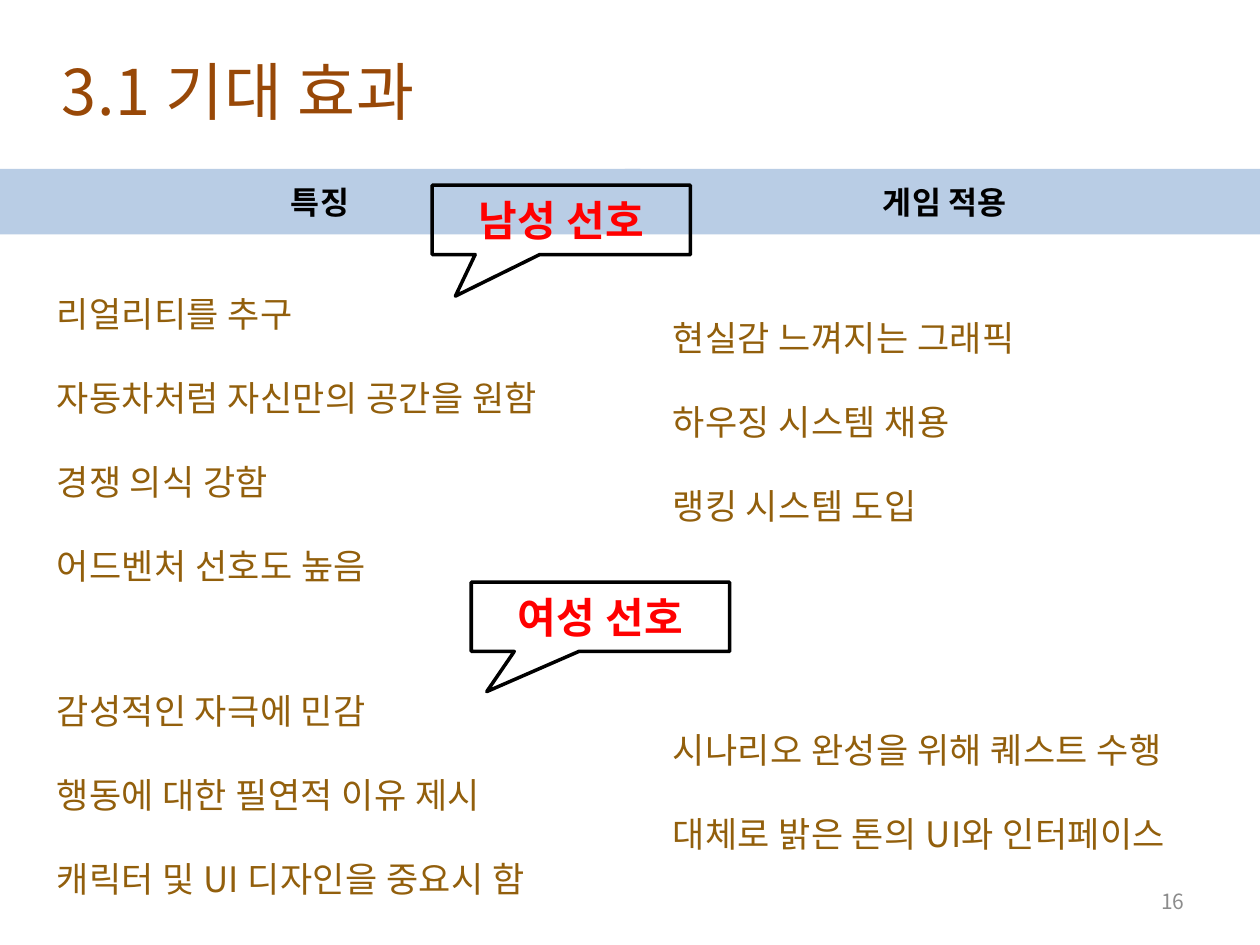
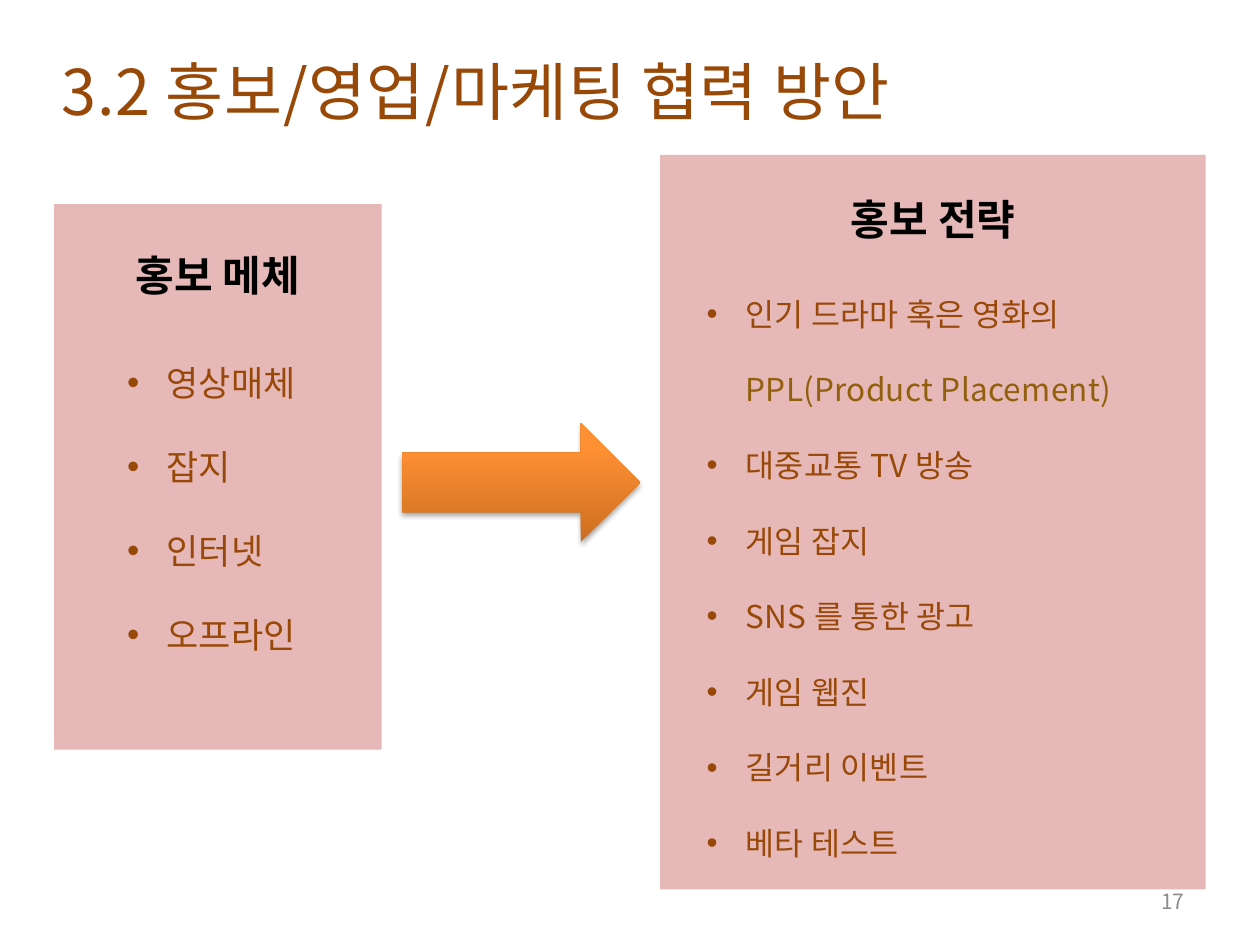
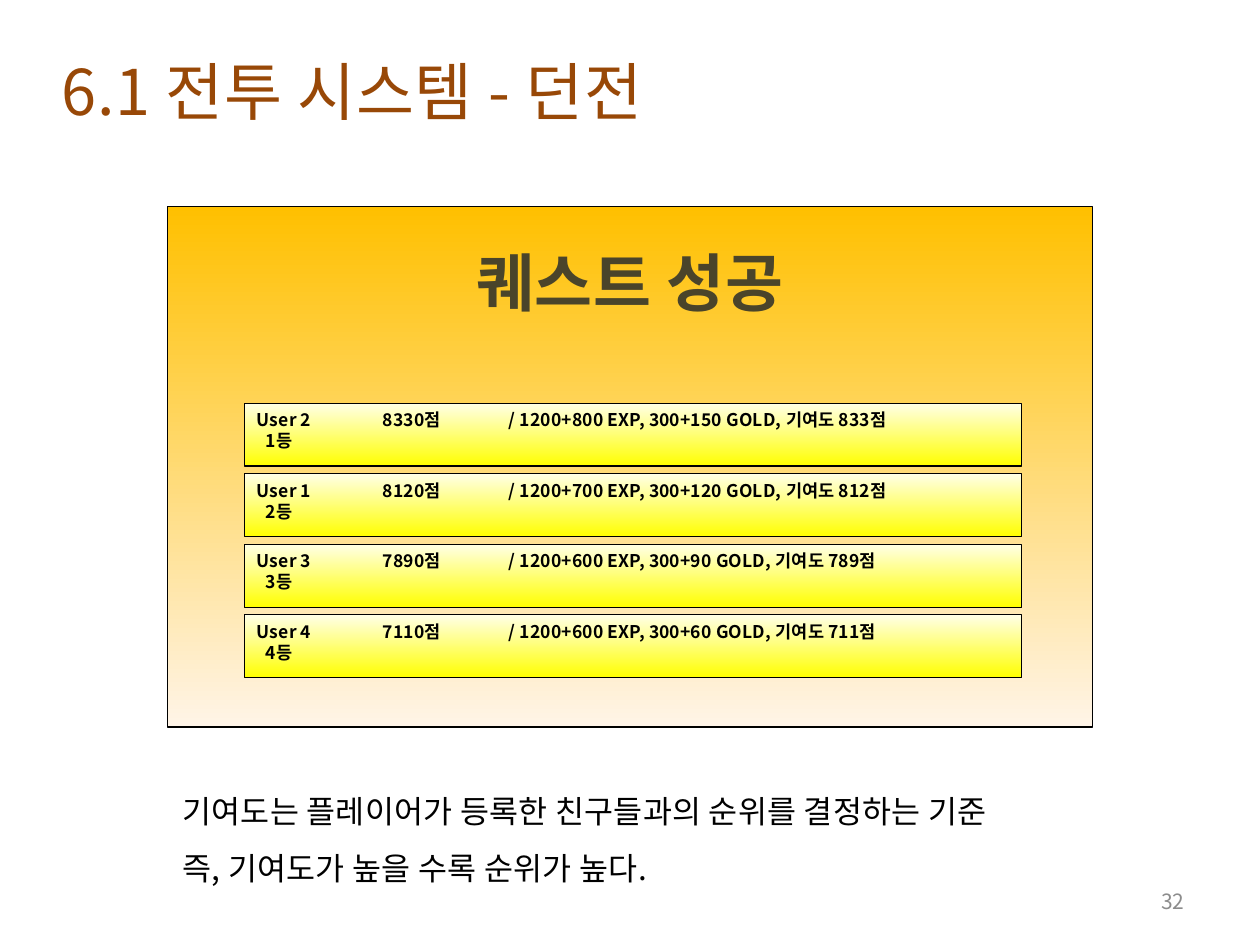
"""Build three slides of a game proposal: expected effects, promotion and dungeon results."""
from lxml.etree import SubElement
from pptx import Presentation
from pptx.dml.color import RGBColor
from pptx.enum.shapes import MSO_SHAPE
from pptx.enum.text import MSO_ANCHOR, MSO_AUTO_SIZE, PP_ALIGN
from pptx.oxml.ns import qn
from pptx.util import Inches, Pt

FONT = "Noto Sans CJK KR"
LINE_HEIGHT = 1.2
TRACKING = 0.01
COLORS = {
    "title": "984807", "body": "925F0C", "black": "000000", "number": "8C8C8C",
    "band": "B9CDE5", "callout": "FF0000", "panel": "E6B9B8", "success": "4A442A",
    "arrow_dark": "CC6E20", "arrow_light": "FF9034", "gold": "FFC000",
    "cream": "FFF4E7", "pale": "FFFFE7", "yellow": "FFFF00",
}

EFFECTS = {"title": "3.1 기대 효과", "width": 3.31, "number": 16}
BANDS = [("특징", 0), ("게임 적용", 4.96)]
PREFERENCES = [
    ((0.35, 1.94, 4.49, 2.79),
     ["리얼리티를 추구", "자동차처럼 자신만의 공간을 원함", "경쟁 의식 강함", "어드벤처 선호도 높음"]),
    ((0.35, 5.09, 6.14, 2.12),
     ["감성적인 자극에 민감", "행동에 대한 필연적 이유 제시", "캐릭터 및 UI 디자인을 중요시 함"]),
    ((5.24, 2.13, 4.76, 2.12),
     ["현실감 느껴지는 그래픽", "하우징 시스템 채용", "랭킹 시스템 도입"]),
    ((5.24, 5.4, 4.76, 1.45),
     ["시나리오 완성을 위해 퀘스트 수행", "대체로 밝은 톤의 UI와 인터페이스"]),
]
CALLOUTS = [("남성 선호", 3.43, 1.47, (-0.41, 1.1)), ("여성 선호", 3.74, 4.62, (-0.44, 1.08))]

PROMOTION = {"title": "3.2 홍보/영업/마케팅 협력 방안", "width": 7.39, "number": 17}
PANELS = [
    {"heading": "홍보 전략", "box": (5.24, 1.23, 4.33, 5.83), "inset": 0.31,
     "list_box": (5.51, 1.99, 4.49, 5.51), "size": 18,
     "items": [[("인기 드라마 혹은 영화의 ", "title"), ("PPL(Product Placement)", "body")],
               "대중교통 TV 방송", "게임 잡지", "SNS 를 통한 광고", "게임 웹진",
               "길거리 이벤트", "베타 테스트"]},
    {"heading": "홍보 메체", "box": (0.43, 1.62, 2.6, 4.33), "inset": 0.36,
     "list_box": (0.91, 2.49, 3.15, 2.79), "size": 20,
     "items": ["영상매체", "잡지", "인터넷", "오프라인"]},
]

DUNGEON = {"title": "6.1 전투 시스템 - 던전", "width": 5.48, "number": 32}
RESULTS = [
    ("User 2", "8330점", "/ 1200+800 EXP, 300+150 GOLD, 기여도 833점", "1등"),
    ("User 1", "8120점", "/ 1200+700 EXP, 300+120 GOLD, 기여도 812점", "2등"),
    ("User 3", "7890점", "/ 1200+600 EXP, 300+90 GOLD, 기여도 789점", "3등"),
    ("User 4", "7110점", "/ 1200+600 EXP, 300+60 GOLD, 기여도 711점", "4등"),
]
RESULT_TABS = (1, 2)
NOTES = ["기여도는 플레이어가 등록한 친구들과의 순위를 결정하는 기준",
         "즉, 기여도가 높을 수록 순위가 높다."]


def rgb(name):
    return RGBColor.from_string(COLORS[name])


def write(sp, lines, size, color="black", bold=False, align=PP_ALIGN.LEFT,
          anchor=MSO_ANCHOR.TOP, spacing=1, bullet=False, wrap=True, inset=0.05, tabs=()):
    tf = sp.text_frame
    tf.word_wrap = wrap
    tf.auto_size = MSO_AUTO_SIZE.NONE
    tf.vertical_anchor = anchor
    tf.margin_top = Inches(inset)
    for i, line in enumerate(lines):
        p = tf.add_paragraph() if i else tf.paragraphs[0]
        p.alignment = align
        p.line_spacing = Pt(size * LINE_HEIGHT * spacing)
        pPr = p._p.get_or_add_pPr()
        if bullet:
            pPr.set("marL", str(Inches(0.31)))
            pPr.set("indent", str(-Inches(0.31)))
            SubElement(pPr, qn("a:buFont"), typeface="Arial")
            SubElement(pPr, qn("a:buChar"), char="•")
        if tabs:
            tab_list = SubElement(pPr, qn("a:tabLst"))
            for tab in tabs:
                SubElement(tab_list, qn("a:tab"), pos=str(Inches(tab)), algn="l")
        for text, run_color in [(line, color)] if isinstance(line, str) else line:
            r = p.add_run()
            r.text = text
            r.font.name = FONT
            r.font.size = Pt(size)
            r.font.bold = bold
            r.font.color.rgb = rgb(run_color)
            rPr = r._r.get_or_add_rPr()
            rPr.set("spc", str(round(size * TRACKING * 100)))
            SubElement(rPr, qn("a:ea"), typeface=FONT)


def add_text(s, box, lines, size, **fmt):
    write(s.shapes.add_textbox(*map(Inches, box)), lines, size, **fmt)


def add_box(s, kind, box, fill=None, line=None, angle=270, last_stop=1):
    sp = s.shapes.add_shape(kind, *map(Inches, box))
    sp.shadow.inherit = False
    if fill is None:
        sp.fill.background()
    elif isinstance(fill, str):
        sp.fill.solid()
        sp.fill.fore_color.rgb = rgb(fill)
    else:
        sp.fill.gradient()
        sp.fill.gradient_angle = angle
        for stop, name, position in zip(sp.fill.gradient_stops, fill, (0, last_stop)):
            stop.color.rgb = rgb(name)
            stop.position = position
    if line:
        sp.line.color.rgb = rgb("black")
        sp.line.width = Pt(line)
    else:
        sp.line.fill.background()
    return sp


def add_shadow(sp):
    effects = sp._element.spPr.find(qn("a:effectLst"))
    shadow = SubElement(effects, qn("a:outerShdw"), blurRad=str(Pt(3.1)), dist=str(Pt(1.8)),
                        dir="5400000", rotWithShape="0")
    color = SubElement(shadow, qn("a:srgbClr"), val=COLORS["black"])
    SubElement(color, qn("a:alpha"), val="35000")


def add_slide(prs, info):
    s = prs.slides.add_slide(prs.slide_layouts[5])
    title = s.shapes.title
    title.left, title.top, title.width, title.height = map(
        Inches, (0.39, 0.36, info["width"], 0.71))
    write(title, [info["title"]], 36, color="title", wrap=False, inset=0.06)
    return s


def add_number(s, info):
    add_text(s, (7.17, 6.95, 2.33, 0.4), [str(info["number"])], 12, color="number",
             align=PP_ALIGN.RIGHT, anchor=MSO_ANCHOR.MIDDLE)


def build_effects(prs):
    s = add_slide(prs, EFFECTS)
    centred = {"bold": True, "align": PP_ALIGN.CENTER, "anchor": MSO_ANCHOR.MIDDLE}
    for heading, left in BANDS:
        band = add_box(s, MSO_SHAPE.RECTANGLE, (left, 1.34, 5.08, 0.52), "band")
        write(band, [heading], 18, **centred)
    for box, lines in PREFERENCES:
        add_text(s, box, lines, 20, color="body", spacing=2)
    for label, left, top, tip in CALLOUTS:
        callout = add_box(s, MSO_SHAPE.RECTANGULAR_CALLOUT, (left, top, 2.05, 0.55), line=2)
        callout.adjustments[0], callout.adjustments[1] = tip
        write(callout, [label], 24, color="callout", **centred)
    add_number(s, EFFECTS)


def build_promotion(prs):
    s = add_slide(prs, PROMOTION)
    for panel in PANELS:
        sp = add_box(s, MSO_SHAPE.RECTANGLE, panel["box"], "panel")
        write(sp, [panel["heading"]], 24, bold=True, align=PP_ALIGN.CENTER,
              inset=panel["inset"])
        add_text(s, panel["list_box"], panel["items"], panel["size"], color="title",
                 spacing=2, bullet=True)
    arrow = add_box(s, MSO_SHAPE.RIGHT_ARROW, (3.19, 3.36, 1.89, 0.94),
                    ("arrow_dark", "arrow_light"), angle=90, last_stop=0.8)
    add_shadow(arrow)
    add_number(s, PROMOTION)


def build_dungeon(prs):
    s = add_slide(prs, DUNGEON)
    board = add_box(s, MSO_SHAPE.RECTANGLE, (1.33, 1.64, 7.34, 4.13), ("gold", "cream"), 0.75)
    write(board, ["퀘스트 성공"], 36, color="success", bold=True, align=PP_ALIGN.CENTER,
          inset=0.29)
    for i, (*cells, rank) in enumerate(RESULTS):
        row = add_box(s, MSO_SHAPE.RECTANGLE, (1.94, 3.2 + 0.56 * i, 6.17, 0.5),
                      ("pale", "yellow"), 0.75)
        write(row, ["\t".join(cells), rank], 10, bold=True, tabs=RESULT_TABS)
        row.text_frame.paragraphs[1]._p.get_or_add_pPr().set("marL", str(Inches(0.07)))
    add_text(s, (1.35, 6.09, 7.3, 0.95), NOTES, 18, spacing=1.5)
    add_number(s, DUNGEON)


def main():
    prs = Presentation()
    prs.slide_width, prs.slide_height = Inches(10), Inches(7.5)
    build_effects(prs)
    build_promotion(prs)
    build_dungeon(prs)
    prs.save("out.pptx")


if __name__ == "__main__":
    main()
